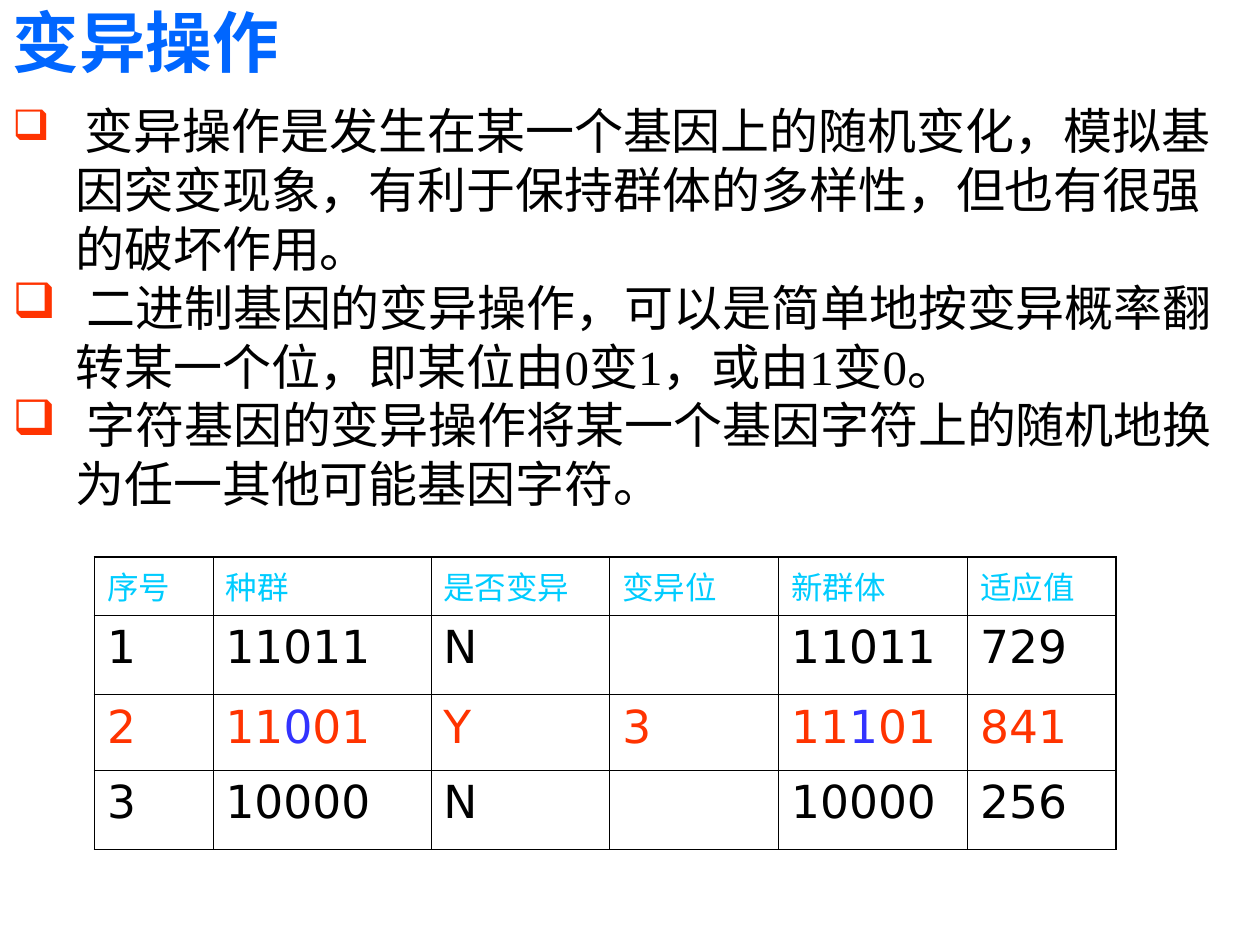
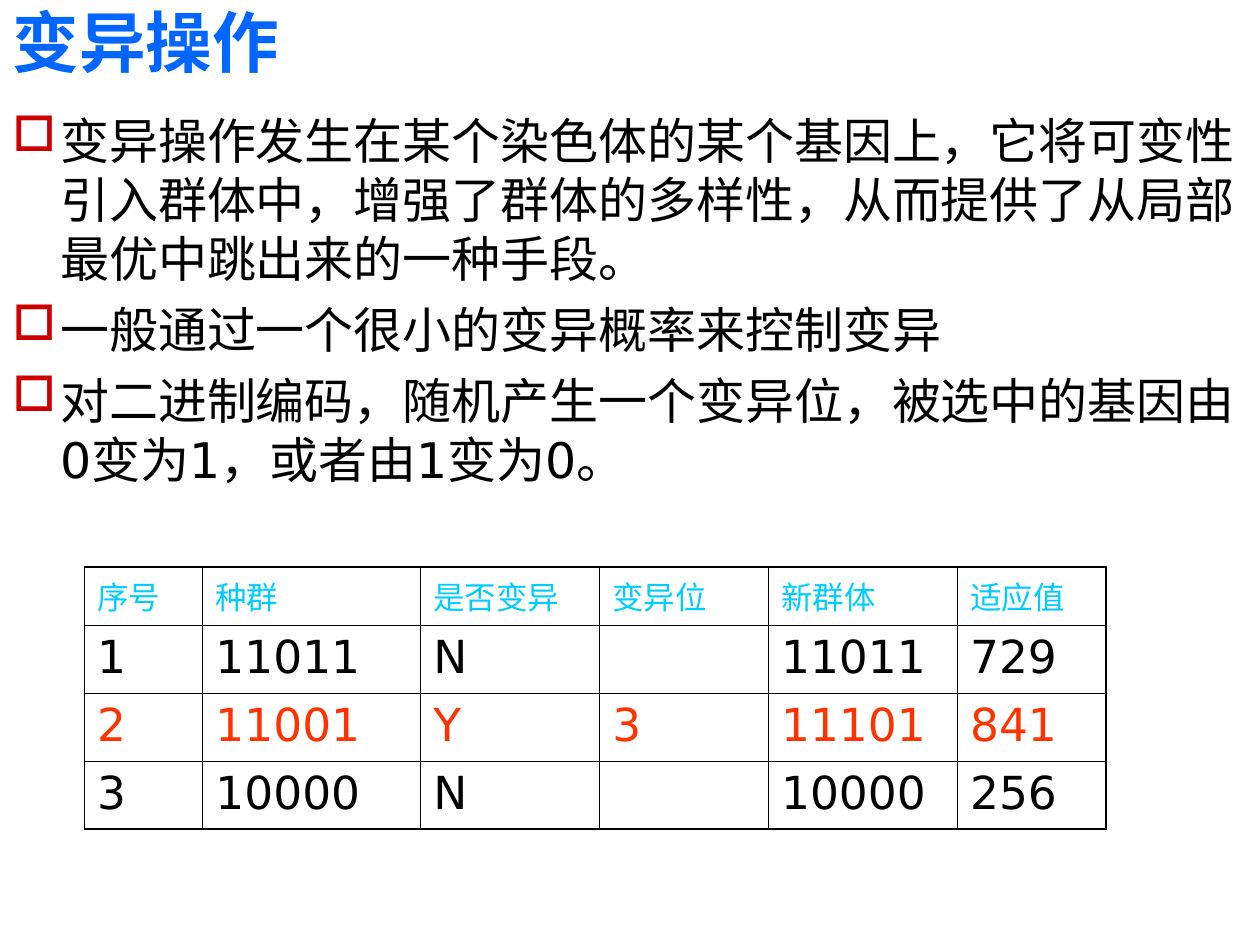
from pptx import Presentation
from pptx.dml.color import RGBColor
from pptx.enum.text import MSO_ANCHOR, MSO_AUTO_SIZE, PP_ALIGN
from pptx.oxml import parse_xml
from pptx.oxml.ns import nsdecls
from pptx.util import Inches, Pt

HUES = {"title": "0066FF", "text": "000000", "head": "00CCFF", "hot": "FF3300",
        "bit": "3333FF", "box": "CC0000", "line": "000000"}
SANS, SERIF = "DejaVu Sans", "Times New Roman"
FRAME = {"word_wrap": True, "auto_size": MSO_AUTO_SIZE.NONE,
         "margin_left": Inches(0.1), "margin_right": Inches(0.1),
         "margin_top": Inches(0.05), "margin_bottom": Inches(0.05)}
COLS = [0.94, 1.73, 1.42, 1.34, 1.5, 1.18]
HEAD = ["序号", "种群", "是否变异", "变异位", "新群体", "适应值"]
FIRST = ["1", "11011", "N", "", "11011", "729"]
LAST = ["3", "10000", "N", "", "10000", "256"]

PAGES = [
    {"box": (0, 0.75, 10, 6.75), "font": SERIF, "mark": "❑", "tint": "hot",
     "indent": 0.5, "gap": 0,
     "text": [
         [(" ", 24), ("变异操作是发生在某一个基因上的随机变化，模拟基因突变现象，"
                      "有利于保持群体的多样性，但也有很强的破坏作用。", 28)],
         [(" 二进制基因的变异操作，可以是简单地按变异概率翻转某一个位，"
           "即某位由0变1，或由1变0。", 28)],
         [(" 字符基因的变异操作将某一个基因字符上的随机地换为任一其他可能基因字符。", 28)]],
     "spot": (0.75, 4.42), "rows": [0.46, 0.63, 0.6, 0.63],
     "hot": ["2", "11|0|01", "Y", "3", "11|1|01", "841"]},
    {"box": (0, 0.83, 10, 3.67), "font": SANS, "mark": "□", "tint": "box",
     "indent": 0.38, "gap": 7,
     "text": [
         [("变异操作发生在某个染色体的某个基因上，它将可变性引入群体中，"
           "增强了群体的多样性，从而提供了从局部最优中跳出来的一种手段。", 28)],
         [("一般通过一个很小的变异概率来控制变异", 28)],
         [("对二进制编码，随机产生一个变异位，被选中的基因由0变为1，或者由1变为0。", 28)]],
     "spot": (0.67, 4.5), "rows": [0.46, 0.54, 0.54, 0.54],
     "hot": ["2", "11001", "Y", "3", "11101", "841"]},
]


def write(par, text, hue, **form):
    run = par.add_run()
    run.text = text
    for key, val in form.items():
        setattr(run.font, key, val)
    run.font.color.rgb = RGBColor.from_string(HUES[hue])


def edge(cell, sides):
    for spot, (side, width) in enumerate(sides.items()):
        cell._tc.get_or_add_tcPr().insert(spot, parse_xml(
            f'<a:ln{side} {nsdecls("a")} w="{Pt(width)}"><a:solidFill>'
            f'<a:srgbClr val="{HUES["line"]}"/></a:solidFill></a:ln{side}>'))


deck = Presentation()
deck.slide_width, deck.slide_height = Inches(10), Inches(7.5)

for page in PAGES:
    slide = deck.slides.add_slide(deck.slide_layouts[5])
    title = slide.shapes.title
    for key, val in zip(("left", "top", "width", "height"), (0, 0, 8.58, 0.69)):
        setattr(title, key, Inches(val))
    body = slide.shapes.add_textbox(*map(Inches, page["box"]))
    for shape in (title, body):
        for key, val in FRAME.items():
            setattr(shape.text_frame, key, val)
    title.text_frame.vertical_anchor = MSO_ANCHOR.BOTTOM
    par = title.text_frame.paragraphs[0]
    par.alignment = PP_ALIGN.LEFT
    write(par, "变异操作", "title", size=Pt(38), name=SANS, bold=True)

    for num, runs in enumerate(page["text"]):
        frame = body.text_frame
        par = frame.add_paragraph() if num else frame.paragraphs[0]
        par.space_before = Pt(page["gap"])
        props = par._p.get_or_add_pPr()
        props.set("marL", str(Inches(page["indent"])))
        props.set("indent", str(-Inches(page["indent"])))
        for tag in (f'<a:buClr {nsdecls("a")}><a:srgbClr val="{HUES[page["tint"]]}"/></a:buClr>',
                    f'<a:buChar {nsdecls("a")} char="{page["mark"]}"/>'):
            props.append(parse_xml(tag))
        for text, size in runs:
            write(par, text, "text", size=Pt(size), name=page["font"])

    rows = [HEAD, FIRST, page["hot"], LAST]
    grid = slide.shapes.add_table(
        len(rows), len(COLS), *map(Inches, (*page["spot"], sum(COLS), sum(page["rows"])))).table
    grid.first_row = grid.horz_banding = False
    for col, width in zip(grid.columns, COLS):
        col.width = Inches(width)
    for row, high in zip(grid.rows, page["rows"]):
        row.height = Inches(high)
    for r, row in enumerate(rows):
        size, gap = (26, 6.5) if r else (18, 4.5)
        hue = ("head", "text", "hot", "text")[r]
        for c, text in enumerate(row):
            cell = grid.cell(r, c)
            cell.fill.background()
            ends = {"L": c == 0, "R": c == len(COLS) - 1, "T": r == 0, "B": r == len(rows) - 1}
            edge(cell, {side: 1.08 if out else 0.45 for side, out in ends.items()})
            if text:
                par = cell.text_frame.paragraphs[0]
                par.space_before = Pt(gap)
                for n, part in enumerate(text.split("|")):
                    write(par, part, "bit" if n % 2 else hue, size=Pt(size), name=SANS)

deck.save("out.pptx")
